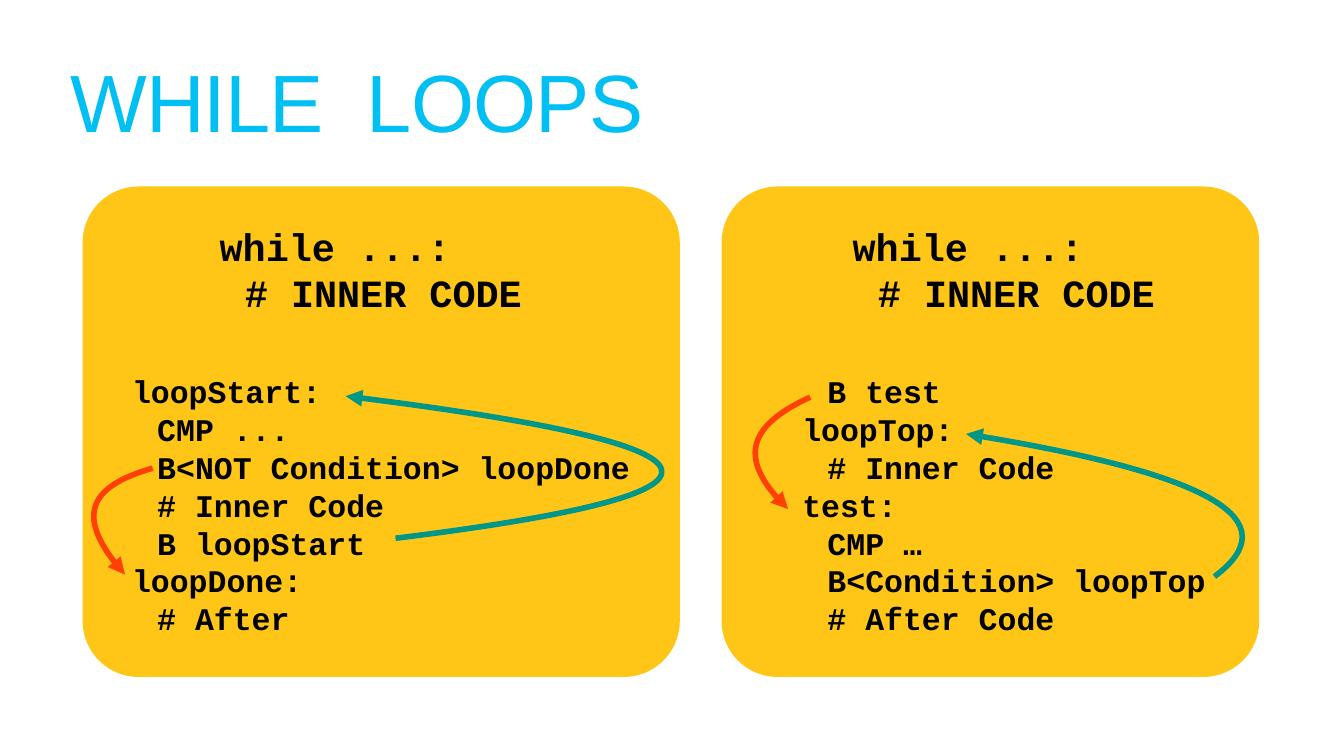
from dataclasses import dataclass

from pptx import Presentation
from pptx.dml.color import RGBColor
from pptx.enum.shapes import MSO_SHAPE as Shape
from pptx.enum.text import MSO_ANCHOR as Anchor, MSO_AUTO_SIZE as AutoSize
from pptx.oxml.ns import qn
from pptx.oxml.xmlchemy import OxmlElement
from pptx.util import Inches, Pt

WIDTH, HEIGHT = Inches(26.67), Inches(15)
COLORS = {"title": "00BFF3", "card": "FFC618", "code": "000000",
          "skip": "FF4000", "repeat": "009688"}
CARD_ROWS, HEADING_ROWS, LISTING_ROWS = (24.67, 64.87), (29.4, 12.4), (49.87, 33.8)
HEADING_WIDTH = 22.98
HEADING = ("while ...:", "> # INNER CODE")
INSET = Inches(0.06)
STEPS = 60

Point = tuple[float, float]


@dataclass
class Jump:
    """A branch arrow: start, two control points and end, in percent of the slide."""
    color: str
    points: tuple[Point, Point, Point, Point]


@dataclass
class Loop:
    """One version of the loop; each pair is left and width in percent of the slide.

    Code lines starting with "> " are indented.
    """
    card: Point
    heading_left: float
    listing: Point
    code: tuple[str, ...]
    jumps: tuple[Jump, ...]


LOOPS = (
    Loop((6.15, 44.43), 16.12, (9.6, 37.5),
         ("loopStart:", "> CMP ...", "> B<NOT Condition> loopDone",
          "> # Inner Code", "> B loopStart", "loopDone:", "> # After"),
         (Jump("skip", ((11.36, 61.93), (6.45, 64.4), (5.77, 69.07), (9.3, 76))),
          Jump("repeat", ((29.43, 71.2), (56.84, 65.2), (55.64, 58.93), (25.72, 52.4))))),
    Loop((53.69, 40), 63.22, (59.47, 30.48),
         ("> B test", "loopTop:", "> # Inner Code", "test:", "> CMP …",
          "> B<Condition> loopTop", "> # After Code"),
         (Jump("skip", ((60.29, 52.53), (55.61, 56.33), (55.04, 61.27), (58.64, 67.33))),
          Jump("repeat", ((90.36, 76.27), (95.99, 68.8), (89.84, 62.53), (71.88, 57.4))))),
)


def rgb(name: str) -> RGBColor:
    return RGBColor.from_string(COLORS[name])


def across(percent: float) -> int:
    return round(WIDTH * percent / 100)


def down(percent: float) -> int:
    return round(HEIGHT * percent / 100)


def area(columns: Point, rows: Point) -> tuple[int, int, int, int]:
    """Left, top, width and height in EMU."""
    return across(columns[0]), down(rows[0]), across(columns[1]), down(rows[1])


def add_text(slide, columns: Point, rows: Point, lines: tuple[str, ...],
             frame_format: dict, font_format: dict, color: str):
    frame = slide.shapes.add_textbox(*area(columns, rows)).text_frame
    insets = dict.fromkeys(
        ("margin_left", "margin_top", "margin_right", "margin_bottom"), INSET)
    for key, value in (insets | frame_format).items():
        setattr(frame, key, value)
    for number, line in enumerate(lines):
        paragraph = frame.add_paragraph() if number else frame.paragraphs[0]
        run = paragraph.add_run()
        run.text = line.removeprefix("> ")
        if line.startswith("> "):
            paragraph.level = 1
            properties = paragraph._p.get_or_add_pPr()
            properties.set("marL", "0")
            properties.set("indent", str(Inches(0.5)))
        for key, value in font_format.items():
            setattr(run.font, key, value)
        run.font.color.rgb = rgb(color)
    return frame


def add_code(slide, columns: Point, rows: Point, lines: tuple[str, ...], size: int) -> None:
    add_text(slide, columns, rows, lines,
             {"word_wrap": False, "auto_size": AutoSize.SHAPE_TO_FIT_TEXT,
              "vertical_anchor": Anchor.MIDDLE},
             {"name": "Courier New", "size": Pt(size), "bold": True}, "code")


def add_title(slide) -> None:
    frame = add_text(slide, (5, 90), (8.87, 16.73), ("WHILE  LOOPS",),
                     {"word_wrap": True}, {"name": "Arial", "size": Pt(116)}, "title")
    line = frame.paragraphs[0]
    line.line_spacing = 0.8
    line.runs[0].font._element.set("spc", "-120")


def add_card(slide, columns: Point) -> None:
    card = slide.shapes.add_shape(Shape.ROUNDED_RECTANGLE, *area(columns, CARD_ROWS))
    card.adjustments[0] = 0.114
    card.shadow.inherit = False
    card.fill.solid()
    card.fill.fore_color.rgb = rgb("card")
    card.line.fill.background()


def on_curve(points: list[tuple[int, int]], t: float) -> tuple[int, int]:
    u = 1 - t
    weights = (u ** 3, 3 * u * u * t, 3 * u * t * t, t ** 3)
    return tuple(round(sum(w * p[axis] for w, p in zip(weights, points)))
                 for axis in (0, 1))


def add_jump(slide, jump: Jump) -> None:
    """Size the shape from points on the curve, then make its outline one cubic."""
    points = [(across(x), down(y)) for x, y in jump.points]
    builder = slide.shapes.build_freeform(*points[0])
    builder.add_line_segments(
        [on_curve(points, step / STEPS) for step in range(1, STEPS + 1)], close=False)
    arrow = builder.convert_to_shape()
    outline = arrow._element.xpath(".//a:path")[0]
    for segment in outline.findall(qn("a:lnTo")):
        outline.remove(segment)
    curve = OxmlElement("a:cubicBezTo")
    for x, y in points[1:]:
        corner = OxmlElement("a:pt")
        corner.set("x", str(x - arrow.left))
        corner.set("y", str(y - arrow.top))
        curve.append(corner)
    outline.append(curve)
    arrow.shadow.inherit = False
    arrow.fill.background()
    arrow.line.color.rgb = rgb(jump.color)
    arrow.line.width = Pt(8)
    head = OxmlElement("a:tailEnd")
    head.set("type", "triangle")
    arrow.line._get_or_add_ln().append(head)


def main() -> None:
    deck = Presentation()
    deck.slide_width, deck.slide_height = WIDTH, HEIGHT
    slide = deck.slides.add_slide(deck.slide_layouts[6])
    add_title(slide)
    for loop in LOOPS:
        add_card(slide, loop.card)
        add_code(slide, (loop.heading_left, HEADING_WIDTH), HEADING_ROWS, HEADING, 55)
        add_code(slide, loop.listing, LISTING_ROWS, loop.code, 45)
        for jump in loop.jumps:
            add_jump(slide, jump)
    deck.save("out.pptx")


if __name__ == "__main__":
    main()
